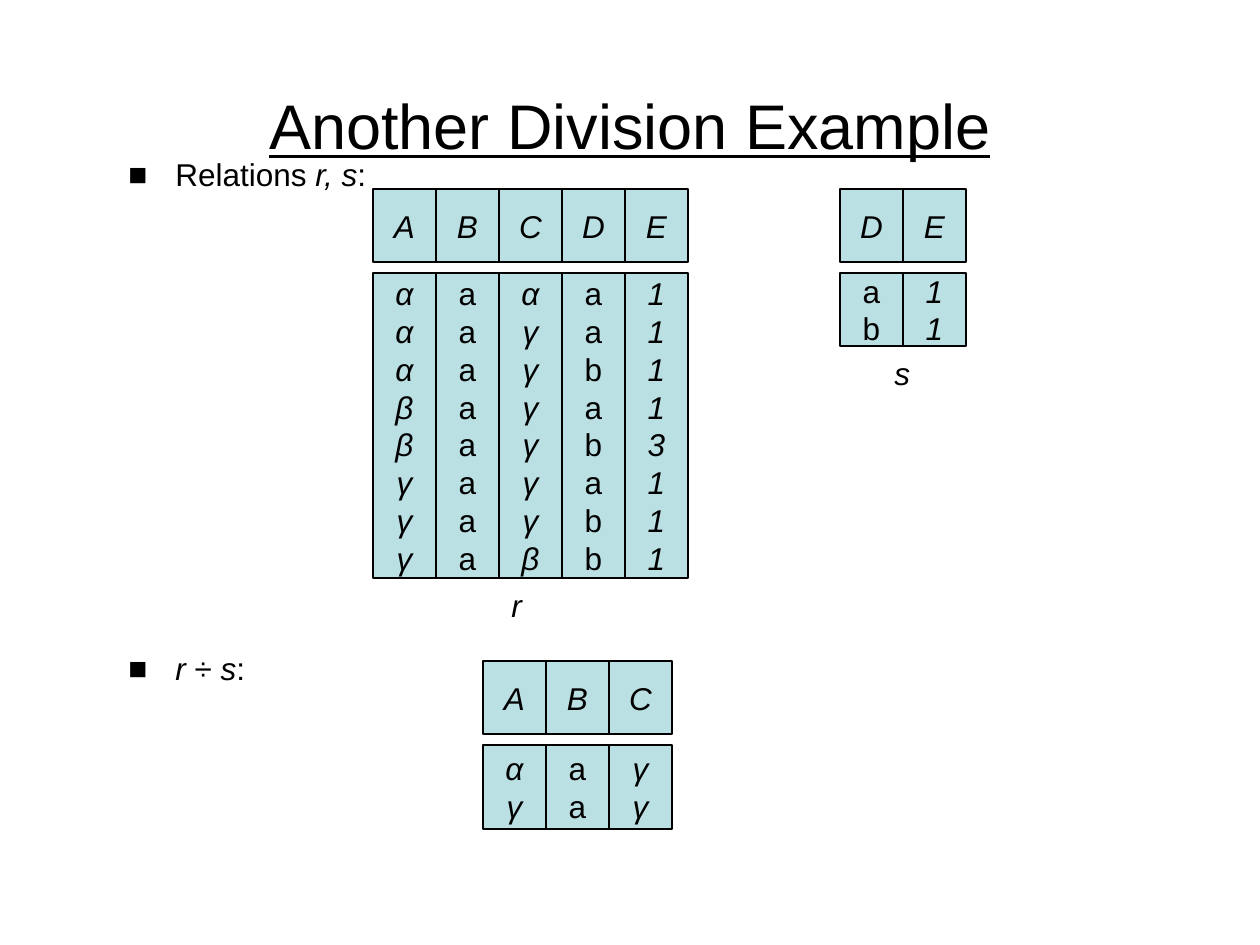
from lxml import etree
from pptx import Presentation
from pptx import util as u
from pptx.dml.color import RGBColor
from pptx.enum import shapes, text
from pptx.oxml.ns import qn

PX = 914400 / 126
BLACK = RGBColor(0, 0, 0)
TEAL = RGBColor(0xBB, 0xE0, 0xE3)
CELL, HEAD, STEP = 63, 73, 84  # column width, header height, header to body


def style(para, size=18, align=text.PP_ALIGN.CENTER):
    para.alignment = align
    for run in para.runs:
        run.font.name = "Arial"
        run.font.size = u.Pt(size)
        run.font.color.rgb = BLACK


def box(kind, left, top, width, height, words):
    """Add a rectangle or, without a kind, a text box with centred lines."""
    area = [round(n * PX) for n in (left, top, width, height)]
    if kind:
        shape = slide.shapes.add_shape(kind, *area)
        shape.shadow.inherit = False
        shape.fill.solid()
        shape.fill.fore_color.rgb = TEAL
        shape.line.color.rgb = BLACK
        shape.line.width = u.Pt(0.75)
    else:
        shape = slide.shapes.add_textbox(*area)
    frame = shape.text_frame
    frame.text = words
    frame.word_wrap = False
    frame.vertical_anchor = text.MSO_ANCHOR.MIDDLE
    for para in frame.paragraphs:
        style(para)
        for run in para.runs:
            run.font.italic = run.text not in ("a", "b")
    return frame


prs = Presentation()
prs.slide_width, prs.slide_height = u.Inches(10), u.Inches(7.5)
slide = prs.slides.add_slide(prs.slide_layouts[6])

# Title
title = box(None, 63, 91, 1134, 67, "Another Division Example")
title.word_wrap = True
title.margin_top = title.margin_bottom = 0
style(title.paragraphs[0], 36)
font = title.paragraphs[0].runs[0].font
font.italic, font.underline = False, True

# Relations: left, top, body height, columns (name, values from top to bottom)
tables = [
    (373, 189, 305, [("A", "αααββγγγ"), ("B", "aaaaaaaa"), ("C", "αγγγγγγβ"),
                     ("D", "aabababb"), ("E", "11113111")]),
    (840, 189, 73, [("D", "ab"), ("E", "11")]),
    (483, 661, 84, [("A", "αγ"), ("B", "aa"), ("C", "γγ")]),
]
RECT = shapes.MSO_SHAPE.RECTANGLE
for left, top, height, cols in tables:
    for i, (name, values) in enumerate(cols):
        x = left + i * CELL
        box(RECT, x, top, CELL, HEAD, name)
        box(RECT, x, top + STEP, CELL, height, "\n".join(values))

# Names under the relations
for name, left, top, width in [("r", 499, 580, 35), ("s", 882, 348, 40)]:
    box(None, left, top, width, 50, name)

# Bullets: top, width, runs (words, italic)
bullets = [
    (149, 294, [("Relations ", False), ("r, s", True), (":", False)]),
    (643, 179, [("r ", True), ("÷ ", False), ("s", True), (":", False)]),
]
for top, width, parts in bullets:
    frame = box(None, 116, top, width, 45, "")
    frame.word_wrap = True
    frame.vertical_anchor = text.MSO_ANCHOR.TOP
    para = frame.paragraphs[0]
    props = para._p.get_or_add_pPr()
    indent = round(47 * PX)
    props.set("marL", str(indent))
    props.set("indent", str(-indent))
    color = etree.SubElement(props, qn("a:buClr"))
    etree.SubElement(color, qn("a:srgbClr"), val=str(BLACK))
    etree.SubElement(props, qn("a:buFont"), typeface="Arial")
    etree.SubElement(props, qn("a:buChar"), char="■")
    for words, italic in parts:
        run = para.add_run()
        run.text = words
        run.font.italic = italic
    style(para, align=text.PP_ALIGN.LEFT)

prs.save("out.pptx")
